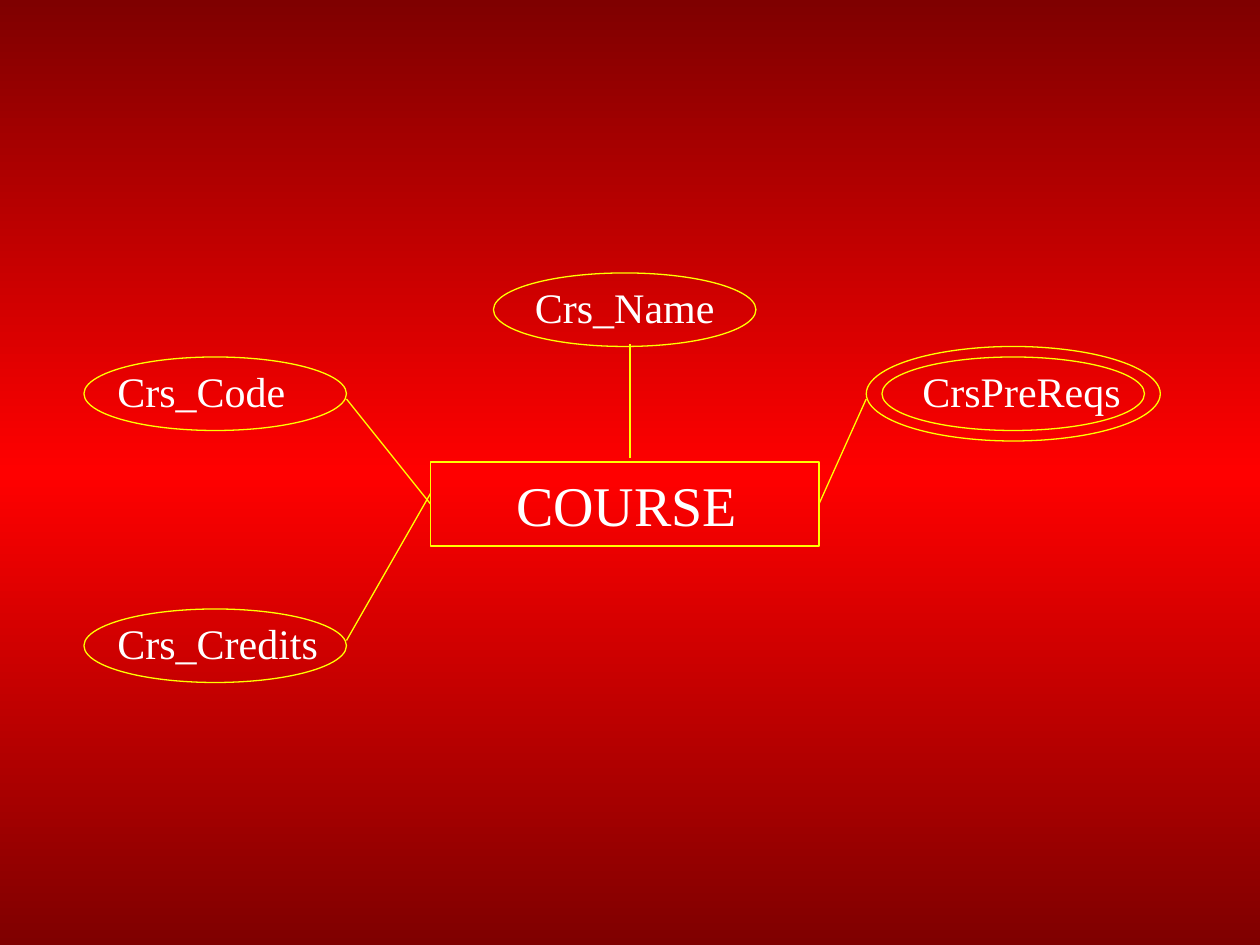
from copy import deepcopy

from lxml.etree import SubElement
from pptx import Presentation
from pptx.dml.color import RGBColor
from pptx.enum.shapes import MSO_CONNECTOR, MSO_SHAPE
from pptx.enum.text import PP_ALIGN
from pptx.oxml.ns import qn
from pptx.util import Inches, Pt

DARK_RED = RGBColor(0x7F, 0x00, 0x00)
RED = RGBColor(0xFF, 0x00, 0x00)
YELLOW = RGBColor(0xFF, 0xFF, 0x00)
WHITE = RGBColor(0xFF, 0xFF, 0xFF)

COLS, ROWS = 120, 90
ATTR_W, ATTR_H = 25, 7


class ErDiagram:
    """Draws entity-relationship parts; lengths are columns and rows of the grid."""

    font = "Times New Roman"
    line_width = Pt(0.75)

    def __init__(self, prs):
        self.slide = prs.slides.add_slide(prs.slide_layouts[6])
        self.col = prs.slide_width / COLS
        self.row = prs.slide_height / ROWS

    def place(self, *lengths):
        units = (self.col, self.row) * 2
        return [round(n * unit) for n, unit in zip(lengths, units)]

    def background(self, edge, middle):
        fill = self.slide.background.fill
        fill.gradient()
        fill.gradient_angle = 90
        first = fill.gradient_stops[0]._gs
        first.addnext(deepcopy(first))
        stops = zip(fill.gradient_stops, (0, 0.5, 1), (edge, middle, edge))
        for stop, position, color in stops:
            stop.position = position
            stop.color.rgb = color

    def outline(self, kind, x, y, w, h):
        sp = self.slide.shapes.add_shape(kind, *self.place(x, y, w, h))
        sp.shadow.inherit = False
        sp.fill.background()
        sp.line.color.rgb = YELLOW
        sp.line.width = self.line_width

    def label(self, text, x, y, w, h, size=24, align=PP_ALIGN.CENTER):
        tf = self.slide.shapes.add_textbox(*self.place(x, y, w, h)).text_frame
        tf.word_wrap = True
        p = tf.paragraphs[0]
        p.text = text
        p.alignment = align
        font = p.runs[0].font
        font.name, font.size = self.font, Pt(size)
        font.color.rgb = WHITE

    def entity(self, text, x, y, w, h):
        self.outline(MSO_SHAPE.RECTANGLE, x, y, w, h)
        self.label(text, x + 4.2, y + 0.2, w - 8, h - 0.4, size=32)

    def attribute(self, text, x, y, indent=0, label_w=ATTR_W,
                  align=PP_ALIGN.CENTER):
        self.outline(MSO_SHAPE.OVAL, x, y, ATTR_W, ATTR_H)
        self.label(text, x + indent, y + 0.2, label_w, 6, align=align)

    def multivalued(self, text, x, y):
        self.attribute(text, x, y, indent=1.8, label_w=23)
        self.outline(MSO_SHAPE.OVAL, x - 1.5, y - 1, ATTR_W + 3, ATTR_H + 2)

    def link(self, *ends):
        line = self.slide.shapes.add_connector(
            MSO_CONNECTOR.STRAIGHT, *self.place(*ends))
        line.line.color.rgb = YELLOW
        line.line.width = self.line_width
        SubElement(line._element.spPr, qn("a:effectLst"))


def main():
    prs = Presentation()
    prs.slide_width, prs.slide_height = Inches(10), Inches(7.5)

    diagram = ErDiagram(prs)
    diagram.background(DARK_RED, RED)
    diagram.entity("COURSE", 41, 44, 37, 8)
    for text, y in (("Crs_Code", 34), ("Crs_Credits", 58)):
        diagram.attribute(text, 8, y, indent=2, label_w=24, align=PP_ALIGN.LEFT)
    diagram.attribute("Crs_Name", 47, 26)
    diagram.multivalued("CrsPreReqs", 84, 34)

    for ends in ((33, 38, 41, 48), (41, 47, 33, 61),
                 (60, 32.8, 60, 43.6), (82.5, 38, 78, 48)):
        diagram.link(*ends)

    prs.save("out.pptx")


if __name__ == "__main__":
    main()
